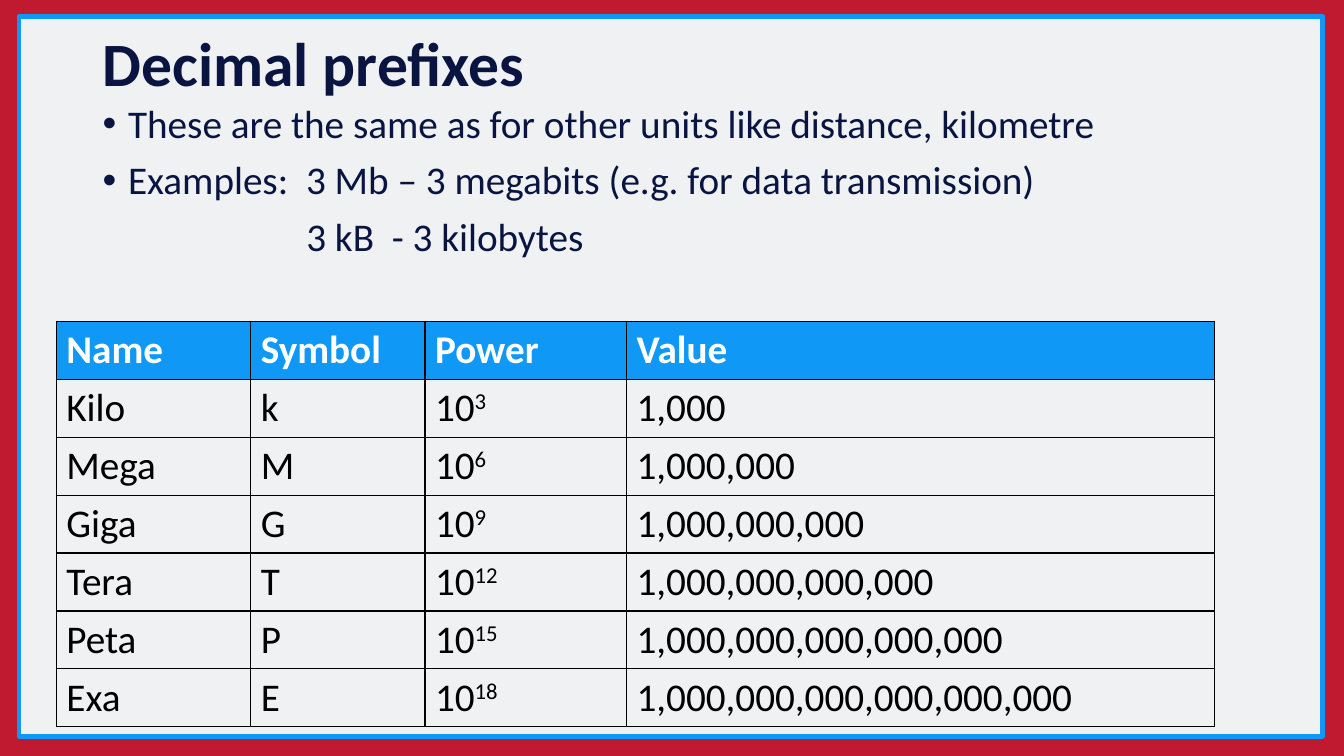
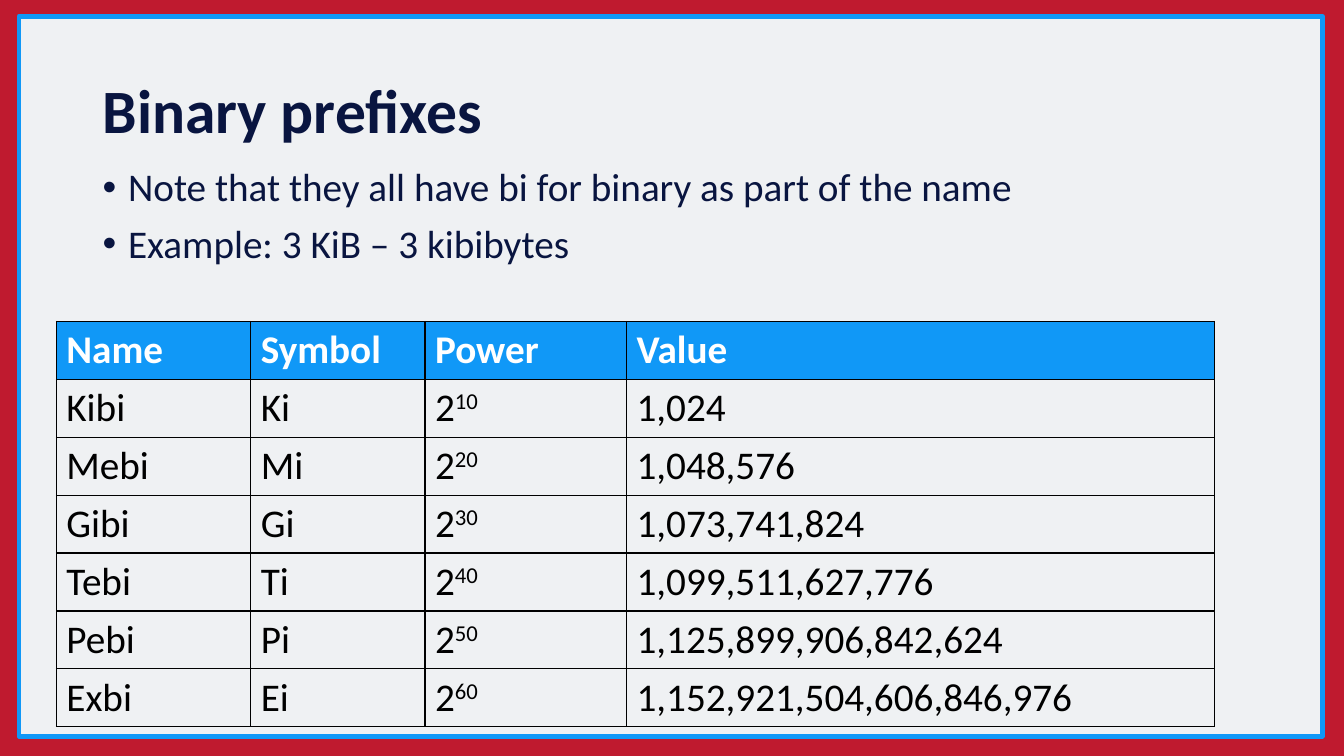
"""Build two slides on decimal and binary prefixes."""
from lxml.etree import SubElement
from pptx import Presentation
from pptx.dml.color import RGBColor
from pptx.enum.shapes import MSO_SHAPE as SHAPE
from pptx.enum.text import MSO_ANCHOR as ANCHOR
from pptx.oxml import parse_xml
from pptx.oxml.ns import nsdecls, qn
from pptx.util import Cm, Pt

RED = RGBColor(0xBF, 0x1A, 0x2F)
PAPER = RGBColor(0xEF, 0xF1, 0xF3)
BLUE = RGBColor(0x10, 0x98, 0xF7)
NAVY = RGBColor(0x09, 0x15, 0x40)
WHITE = RGBColor(0xFF, 0xFF, 0xFF)
BLACK = RGBColor(0, 0, 0)

LEFT, WIDTH = 2.34, 29.21
TABLE_LEFT, TABLE_TOP, ROW_HEIGHT = 1.42, 8.1, 1.46
COLUMNS = (4.9, 4.39, 5.08, 14.81)
HEADERS = ("Name", "Symbol", "Power", "Value")
BULLET_INDENT, EXAMPLE_INDENT = 0.64, 5.13

TITLE = {"name": "Calibri", "size": Pt(44), "bold": True}
BODY = {"name": "Calibri", "size": Pt(28), "bold": False}
HEADER = {**BODY, "bold": True}


class Deck:
    def __init__(self):
        self.prs = Presentation()
        self.prs.slide_width, self.prs.slide_height = Cm(33.87), Cm(19.05)

    def slide(self):
        self.s = self.prs.slides.add_slide(self.prs.slide_layouts[6])
        fill = self.s.background.fill
        fill.solid()
        fill.fore_color.rgb = RED
        sp = self.s.shapes.add_shape(
            SHAPE.RECTANGLE, Cm(0.48), Cm(0.41), Cm(32.84), Cm(18.14))
        sp.shadow.inherit = False
        sp.fill.solid()
        sp.fill.fore_color.rgb = PAPER
        sp.line.color.rgb = BLUE
        sp.line.width = Pt(3.5)

    def run(self, p, text, style, color, raised=False):
        r = p.add_run()
        r.text = text
        for key, value in style.items():
            setattr(r.font, key, value)
        r.font.color.rgb = color
        if raised:
            r._r.get_or_add_rPr().set("baseline", "30000")

    def box(self, top, height, anchor=ANCHOR.TOP):
        tf = self.s.shapes.add_textbox(
            Cm(LEFT), Cm(top), Cm(WIDTH), Cm(height)).text_frame
        tf.word_wrap = True
        tf.vertical_anchor = anchor
        return tf

    def title(self, text, top, height):
        p = self.box(top, height, ANCHOR.MIDDLE).paragraphs[0]
        p.line_spacing = 0.9
        self.run(p, text, TITLE, NAVY)

    def body(self, lines, top, height):
        tf = self.box(top, height)
        for i, (text, bulleted) in enumerate(lines):
            p = tf.add_paragraph() if i else tf.paragraphs[0]
            p.line_spacing, p.space_before = 0.9, Pt(10)
            pPr = p._p.get_or_add_pPr()
            if bulleted:
                pPr.set("marL", str(Cm(BULLET_INDENT)))
                pPr.set("indent", str(-Cm(BULLET_INDENT)))
                SubElement(pPr, qn("a:buFont")).set("typeface", "Arial")
                SubElement(pPr, qn("a:buChar")).set("char", "•")
            else:
                pPr.set("marL", str(Cm(EXAMPLE_INDENT)))
            self.run(p, text, BODY, NAVY)

    def borders(self, cell):
        tcPr = cell._tc.get_or_add_tcPr()
        for i, side in enumerate("LRTB"):
            tcPr.insert(i, parse_xml(
                f'<a:ln{side} {nsdecls("a")} w="{Pt(1)}"><a:solidFill>'
                f'<a:srgbClr val="{BLACK}"/></a:solidFill></a:ln{side}>'))

    def table(self, base, step, prefixes):
        count = len(prefixes) + 1
        table = self.s.shapes.add_table(
            count, len(COLUMNS), Cm(TABLE_LEFT), Cm(TABLE_TOP),
            Cm(sum(COLUMNS)), Cm(ROW_HEIGHT * count)).table
        table.horz_banding = False
        for column, width in zip(table.columns, COLUMNS):
            column.width = Cm(width)
        rows = [[(text,) for text in HEADERS]]
        for i, (name, symbol) in enumerate(prefixes, 1):
            power = step * i
            rows.append([(name,), (symbol,), (str(base), str(power)),
                         (f"{base ** power:,}",)])
        for i, row in enumerate(rows):
            style, color = (BODY, BLACK) if i else (HEADER, WHITE)
            for j, parts in enumerate(row):
                cell = table.cell(i, j)
                if i:
                    cell.fill.background()
                else:
                    cell.fill.solid()
                    cell.fill.fore_color.rgb = BLUE
                self.borders(cell)
                for k, text in enumerate(parts):
                    self.run(cell.text_frame.paragraphs[0], text, style,
                             color, raised=k > 0)


def main():
    deck = Deck()

    deck.slide()
    deck.title("Decimal prefixes", 0.46, 2.44)
    deck.body([
        ("These are the same as for other units like distance, kilometre", True),
        ("Examples:  3 Mb – 3 megabits (e.g. for data transmission)", True),
        ("3 kB  - 3 kilobytes", False),
    ], 2.51, 4.37)
    deck.table(10, 3, [("Kilo", "k"), ("Mega", "M"), ("Giga", "G"),
                       ("Tera", "T"), ("Peta", "P"), ("Exa", "E")])

    deck.slide()
    deck.title("Binary prefixes", 1.02, 3.68)
    deck.body([
        ("Note that they all have bi for binary as part of the name", True),
        ("Example: 3 KiB – 3 kibibytes", True),
    ], 4.11, 2.9)
    deck.table(2, 10, [("Kibi", "Ki"), ("Mebi", "Mi"), ("Gibi", "Gi"),
                       ("Tebi", "Ti"), ("Pebi", "Pi"), ("Exbi", "Ei")])

    deck.prs.save("out.pptx")


if __name__ == "__main__":
    main()
